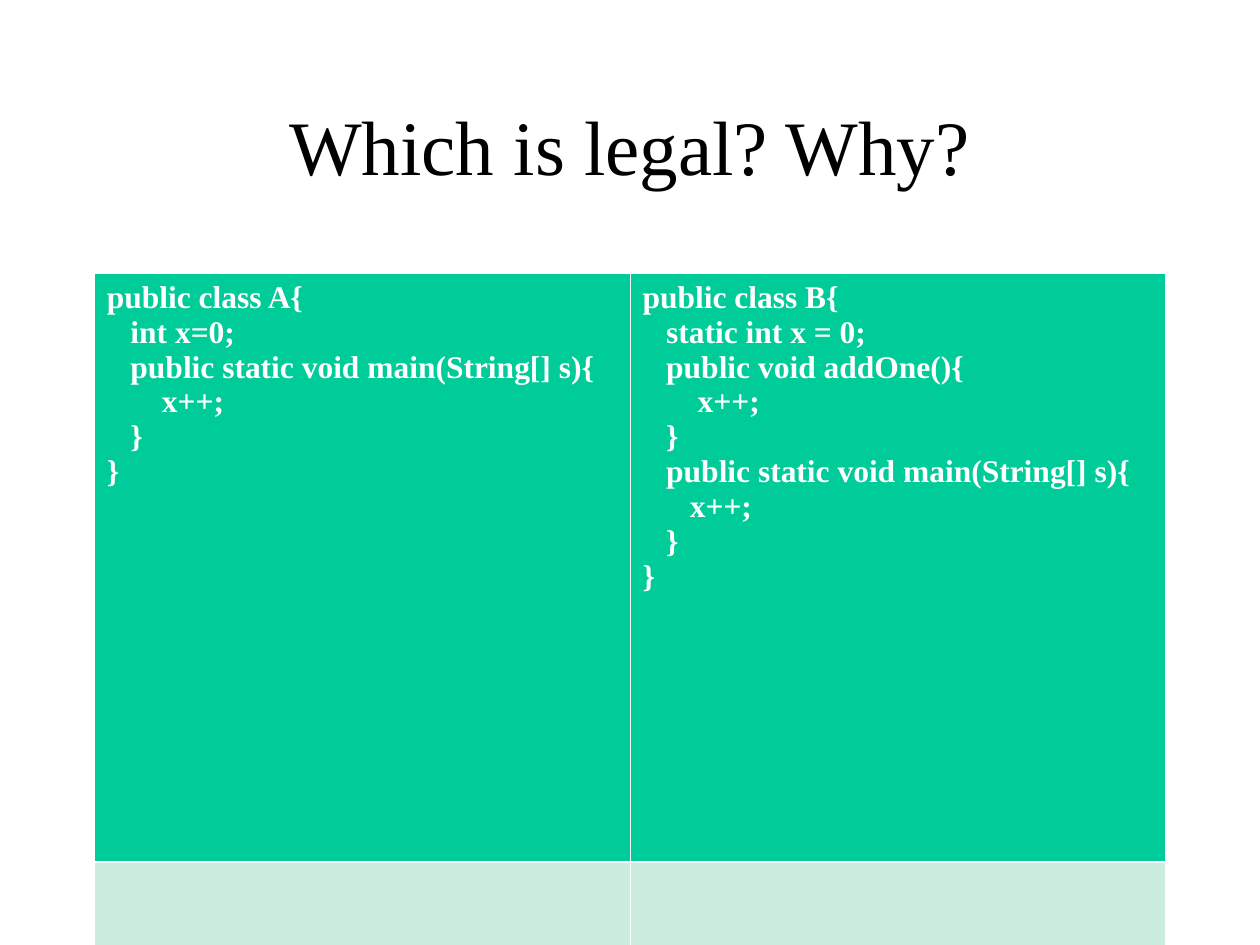
from dataclasses import dataclass

from lxml import etree
from pptx import Presentation
from pptx import util as u
from pptx.dml.color import RGBColor
from pptx.enum import text
from pptx.oxml.ns import qn

FONT = "Times New Roman"
COLORS = {"title": "000000", "code": "FFFFFF", "border": "FFFFFF",
          "header": "00CC99", "body": "CBECDE"}
THIN, THICK = 0.45, 1.47
SPACE_WIDTH = u.Pt(4.5)


@dataclass
class CodeLine:
    code: str
    indent: int = 0


CLASS_A = [
    CodeLine("public class A{"),
    CodeLine("int x=0;", 3),
    CodeLine("public static void main(String[] s){", 3),
    CodeLine("x++;", 7),
    CodeLine("}", 3),
    CodeLine("}"),
]
CLASS_B = [
    CodeLine("public class B{"),
    CodeLine("static int x = 0;", 3),
    CodeLine("public void addOne(){", 3),
    CodeLine("x++;", 7),
    CodeLine("}", 3),
    CodeLine("public static void main(String[] s){", 3),
    CodeLine("x++;", 6),
    CodeLine("}", 3),
    CodeLine("}"),
]


def add_run(paragraph, content: str, size: float, color: str, bold: bool) -> None:
    run = paragraph.add_run()
    run.text = content
    run.font.name = FONT
    run.font.size = u.Pt(size)
    run.font.bold = bold
    run.font.color.rgb = RGBColor.from_string(COLORS[color])


def write_code(cell, listing: list[CodeLine]) -> None:
    frame = cell.text_frame
    for number, line in enumerate(listing):
        paragraph = frame.add_paragraph() if number else frame.paragraphs[0]
        properties = paragraph._p.get_or_add_pPr()
        properties.set("marL", str(line.indent * SPACE_WIDTH))
        properties.set("indent", "0")
        add_run(paragraph, line.code, 18, "code", True)


def set_borders(cell, top: float, bottom: float) -> None:
    properties = cell._tc.get_or_add_tcPr()
    for side, width in (("L", THIN), ("R", THIN), ("T", top), ("B", bottom)):
        border = etree.SubElement(properties, qn(f"a:ln{side}"), w=str(u.Pt(width)))
        fill = etree.SubElement(border, qn("a:solidFill"))
        etree.SubElement(fill, qn("a:srgbClr"), val=COLORS["border"])


def format_cell(cell, color: str, top: float, bottom: float) -> None:
    set_borders(cell, top, bottom)
    cell.fill.solid()
    cell.fill.fore_color.rgb = RGBColor.from_string(COLORS[color])


def add_title(slide, question: str) -> None:
    title = slide.shapes.title
    title.left, title.top = u.Cm(1.9), u.Cm(1.32)
    title.width, title.height = u.Cm(21.6), u.Cm(3.18)
    frame = title.text_frame
    frame.vertical_anchor = text.MSO_ANCHOR.MIDDLE
    paragraph = frame.paragraphs[0]
    paragraph.alignment = text.PP_ALIGN.CENTER
    add_run(paragraph, question, 44, "title", False)


def add_comparison(slide, listings: list[list[CodeLine]]) -> None:
    comparison = slide.shapes.add_table(
        2, len(listings), u.Cm(1.9), u.Cm(5.52), u.Cm(21.6), u.Cm(23.7)).table
    for column, listing in enumerate(listings):
        header, body = comparison.cell(0, column), comparison.cell(1, column)
        format_cell(header, "header", THIN, THICK)
        format_cell(body, "body", THICK, THIN)
        write_code(header, listing)


def main() -> None:
    deck = Presentation()
    deck.slide_width, deck.slide_height = u.Cm(25.4), u.Cm(19.05)
    slide = deck.slides.add_slide(deck.slide_layouts[5])
    add_title(slide, "Which is legal? Why?")
    add_comparison(slide, [CLASS_A, CLASS_B])
    deck.save("out.pptx")


if __name__ == "__main__":
    main()
